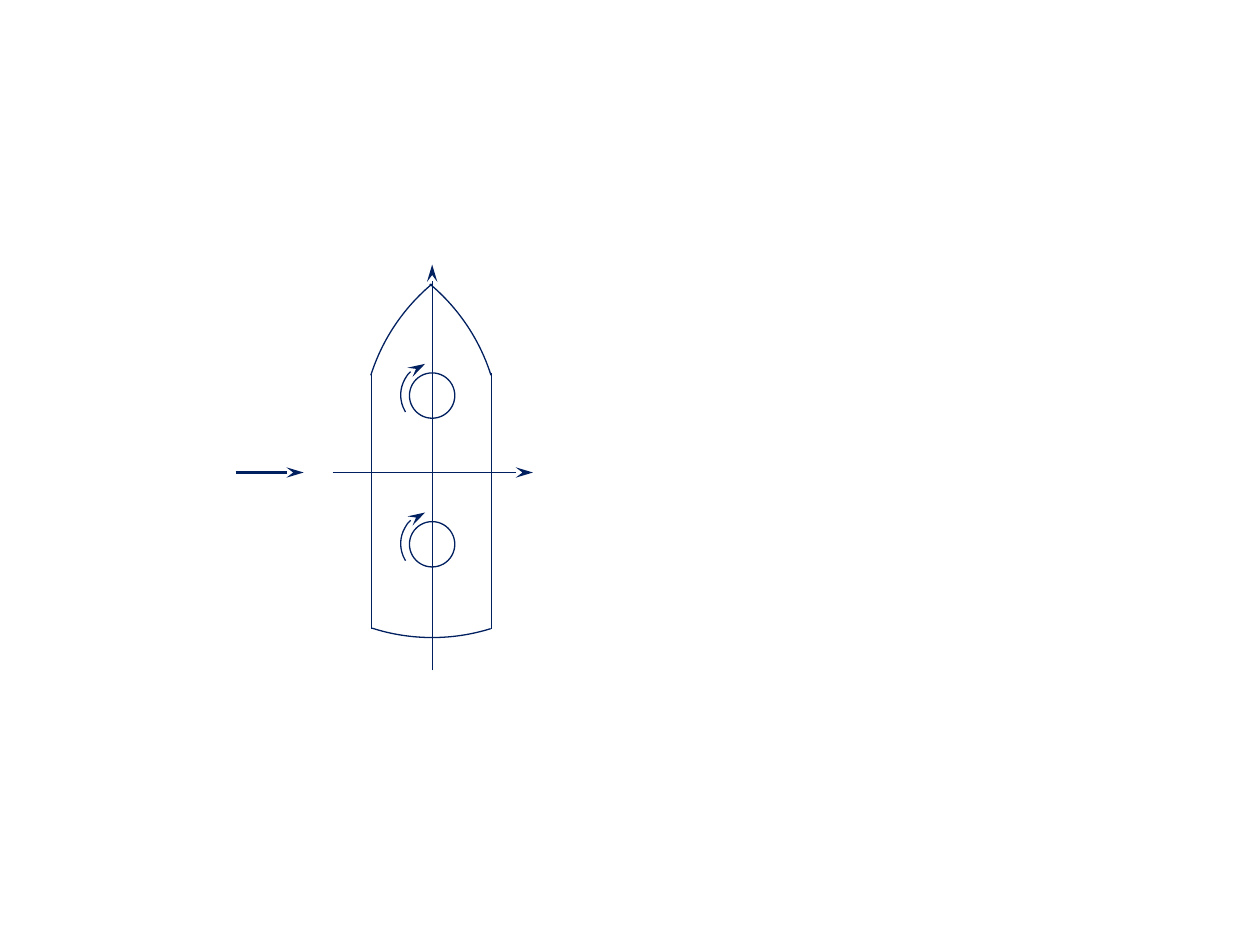
import pptx
import pptx.dml.color
import pptx.enum.shapes
import pptx.oxml.ns
import pptx.util
from lxml import etree

Inches = pptx.util.Inches
SHAPES = pptx.enum.shapes.MSO_SHAPE


def color(value):
    return pptx.dml.color.RGBColor.from_string(value)


class Drawing:
    """Holds the line style and the page being drawn on."""

    ink = "002060"
    thin = 0.75
    thick = 1.5

    def __init__(self, page):
        self.page = page

    def style_line(self, shape, width, arrow):
        shape.line.color.rgb = color(self.ink)
        shape.line.width = pptx.util.Pt(width)
        if arrow:
            head = etree.SubElement(shape.line._get_or_add_ln(), pptx.oxml.ns.qn("a:tailEnd"))
            for name, value in {"type": "stealth", "w": "med", "len": "lg"}.items():
                head.set(name, value)

    def line(self, start, end, width=thin, arrow=False):
        connector = self.page.shapes.add_connector(
            pptx.enum.shapes.MSO_CONNECTOR.STRAIGHT,
            *(Inches(length) for length in (*start, *end)))
        self.style_line(connector, width, arrow)
        etree.SubElement(connector._element.spPr, pptx.oxml.ns.qn("a:effectLst"))

    def outline(self, kind, left, top, size, arrow=False):
        """Add an unfilled preset shape in a square frame."""
        shape = self.page.shapes.add_shape(
            kind, *(Inches(length) for length in (left, top, size, size)))
        shape.shadow.inherit = False
        shape.fill.background()
        self.style_line(shape, self.thin, arrow)
        return shape

    def circle(self, left, top, size):
        self.outline(SHAPES.OVAL, left, top, size)

    def arc(self, left, top, size, start, end, arrow=False):
        """Add an arc running clockwise between two angles in degrees."""
        shape = self.outline(SHAPES.ARC, left, top, size, arrow)
        for index, degrees in enumerate((start, end)):
            shape.adjustments[index] = degrees * 0.6


def main():
    deck = pptx.Presentation()
    deck.slide_width, deck.slide_height = Inches(10), Inches(7.5)
    drawing = Drawing(deck.slides.add_slide(deck.slide_layouts[6]))

    middle = 3.75
    drawing.line((2.64, middle), (4.23, middle), arrow=True)
    drawing.line((3.43, 5.32), (3.43, 2.1), arrow=True)

    hull_arc = 3.12
    drawing.arc(1.87, 1.94, hull_arc, 72.69, 107.78)
    for side in (2.95, 3.9):
        drawing.line((side, 2.96), (side, 4.99))
    bow_start, bow_end = 197.6, 230.04
    drawing.arc(2.87, 1.89, hull_arc, bow_start, bow_end)
    drawing.arc(0.85, 1.89, hull_arc, 540 - bow_end, 540 - bow_start)

    rotor_tops = (2.96, 4.14)
    for top in rotor_tops:
        drawing.circle(3.25, top, 0.36)
    for top in rotor_tops:
        drawing.arc(3.18, top - 0.08, 0.51, 148.05, 256.17, arrow=True)

    drawing.line((1.87, middle), (2.41, middle), drawing.thick, arrow=True)
    deck.save("out.pptx")


if __name__ == "__main__":
    main()
